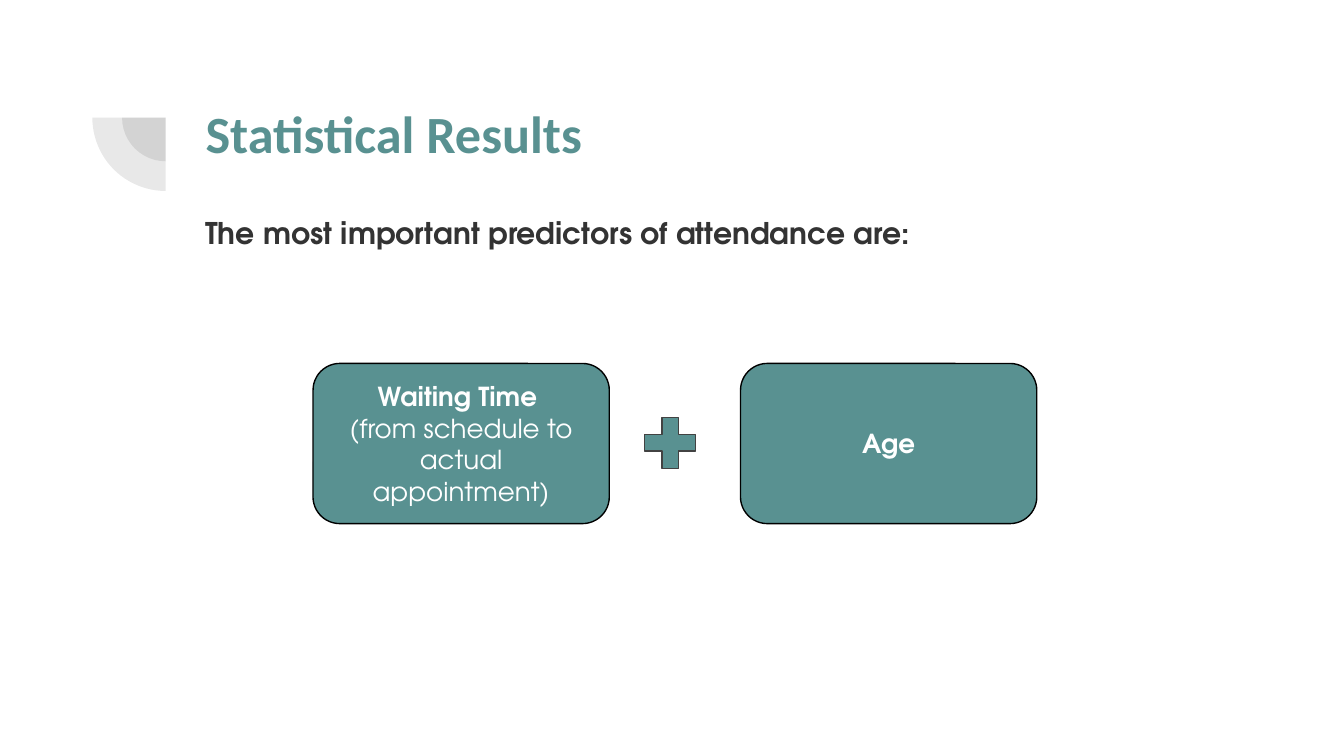
from lxml.etree import SubElement
from pptx import Presentation
from pptx.dml.color import RGBColor
from pptx.enum.shapes import MSO_SHAPE
from pptx.enum.text import MSO_ANCHOR, PP_ALIGN
from pptx.oxml.ns import qn
from pptx.util import Pt

TEAL = RGBColor(0x59, 0x91, 0x91)
DARK = RGBColor(0x33, 0x33, 0x33)
GRAY = RGBColor(0x42, 0x42, 0x42)
BLACK = RGBColor(0, 0, 0)
WHITE = RGBColor(255, 255, 255)
HEAD = "Calibri"
BODY = "TeX Gyre Adventor"


def add_form(slide, kind, left, top, width, height, fill, line=None):
    form = slide.shapes.add_shape(kind, Pt(left), Pt(top), Pt(width), Pt(height))
    form.shadow.inherit = False
    form.fill.solid()
    form.fill.fore_color.rgb = fill
    if line is None:
        form.line.fill.background()
    else:
        form.line.color.rgb = line
        form.line.width = Pt(0.75)
    return form


def set_frame(frame):
    frame.word_wrap = True
    frame.margin_left = frame.margin_right = Pt(7.2)
    frame.margin_top = frame.margin_bottom = Pt(7.2)


def add_run(para, text, font, size, color, bold=True):
    run = para.add_run()
    run.text = text
    run.font.name = font
    run.font.size = Pt(size)
    run.font.bold = bold
    run.font.color.rgb = color


def add_pie(slide, radius):
    mid_x, mid_y = 88.8, 63
    pie = add_form(slide, MSO_SHAPE.PIE, mid_x - radius, mid_y - radius,
                   2 * radius, 2 * radius, GRAY)
    pie.rotation = 270
    pie.adjustments[0] = 108
    pie.adjustments[1] = 162
    tint = pie.fill._xPr.find(qn("a:solidFill"))[0]
    SubElement(tint, qn("a:alpha")).set("val", "12000")


def add_text(slide, top, height, text, font, size, color, space=1.0):
    box = slide.shapes.add_textbox(Pt(103), Pt(top), Pt(553.7), Pt(height))
    set_frame(box.text_frame)
    para = box.text_frame.paragraphs[0]
    para.line_spacing = space
    add_run(para, text, font, size, color)


def add_card(slide, left, lines):
    card = add_form(slide, MSO_SHAPE.ROUNDED_RECTANGLE, left, 194.7, 158.7, 85.8,
                    TEAL, BLACK)
    card.adjustments[0] = 0.167
    frame = card.text_frame
    set_frame(frame)
    frame.vertical_anchor = MSO_ANCHOR.MIDDLE
    for row, (text, bold) in enumerate(lines):
        para = frame.add_paragraph() if row else frame.paragraphs[0]
        para.alignment = PP_ALIGN.CENTER
        add_run(para, text, BODY, 14, WHITE, bold)


def main():
    deck = Presentation()
    deck.slide_width, deck.slide_height = Pt(720), Pt(405)
    slide = deck.slides.add_slide(deck.slide_layouts[6])

    for radius in (23.4, 39.3):
        add_pie(slide, radius)
    add_text(slide, 46.8, 78.5, "Statistical Results", HEAD, 28, TEAL)
    add_text(slide, 105, 200, "The most important predictors of attendance are:",
             BODY, 16, DARK, 1.15)

    add_card(slide, 167.7, [("Waiting Time ", True),
                            ("(from schedule to actual appointment)", False)])
    add_card(slide, 396.7, [("Age", True)])
    plus = add_form(slide, MSO_SHAPE.MATH_PLUS, 340.3, 218.6, 37.4, 37.4, TEAL, GRAY)
    plus.adjustments[0] = 0.235

    deck.save("out.pptx")


if __name__ == "__main__":
    main()
